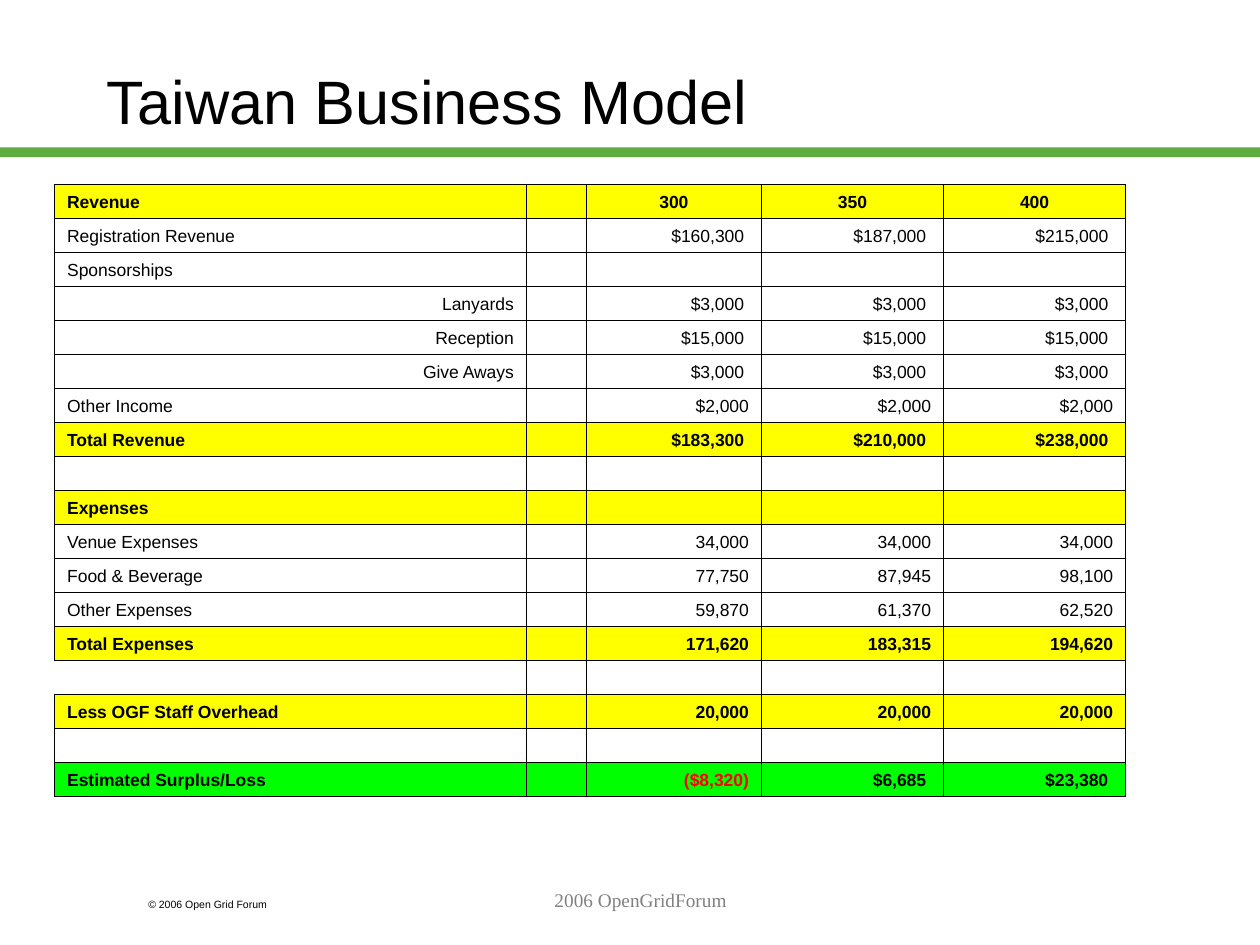
import pptx
import pptx.dml.color
import pptx.enum.shapes
import pptx.enum.text
import pptx.oxml.ns
import pptx.util
from lxml import etree
from pptx.util import Cm

COLORS = {
    "black": "000000", "bar": "5DAD41", "footer": "808080",
    "yellow": "FFFF00", "green": "00FF00", "loss": "FF0000",
}
ALIGN = pptx.enum.text.PP_ALIGN
ANCHOR = pptx.enum.text.MSO_ANCHOR

# Row kind, label, then one amount for each attendance level.
# The trailing space stands in for the closing bracket of accounting formats.
ROWS = [
    ("header", "Revenue", "300", "350", "400"),
    ("item", "Registration Revenue", "$160,300 ", "$187,000 ", "$215,000 "),
    ("item", "Sponsorships"),
    ("subitem", "Lanyards", "$3,000 ", "$3,000 ", "$3,000 "),
    ("subitem", "Reception", "$15,000 ", "$15,000 ", "$15,000 "),
    ("subitem", "Give Aways", "$3,000 ", "$3,000 ", "$3,000 "),
    ("item", "Other Income", "$2,000", "$2,000", "$2,000"),
    ("total", "Total Revenue", "$183,300 ", "$210,000 ", "$238,000 "),
    ("spacer",),
    ("header", "Expenses"),
    ("item", "Venue Expenses", "34,000", "34,000", "34,000"),
    ("item", "Food & Beverage", "77,750", "87,945", "98,100"),
    ("item", "Other Expenses", "59,870", "61,370", "62,520"),
    ("total", "Total Expenses", "171,620", "183,315", "194,620"),
    ("open spacer",),
    ("total", "Less OGF Staff Overhead", "20,000", "20,000", "20,000"),
    ("spacer",),
    ("result", "Estimated Surplus/Loss", "($8,320)", "$6,685 ", "$23,380 "),
]
ROW_FILLS = {"header": "yellow", "total": "yellow", "result": "green"}
COLUMN_WIDTHS = [9.51, 1.21, 3.53, 3.67, 3.67]


def rgb(name):
    return pptx.dml.color.RGBColor.from_string(COLORS[name])


def format_paragraph(paragraph, size, color="black", font="Arial",
                     align=ALIGN.LEFT, bold=False):
    paragraph.alignment = align
    paragraph.font.size = pptx.util.Pt(size)
    paragraph.font.name = font
    paragraph.font.bold = bold
    paragraph.font.color.rgb = rgb(color)


def add_heading(slide, left, top, width, height):
    """Title with the green bar that crosses the slide below it."""
    bar = slide.shapes.add_shape(
        pptx.enum.shapes.MSO_SHAPE.RECTANGLE,
        0, top + Cm(2.54), Cm(25.4), Cm(0.2))
    bar.shadow.inherit = False
    bar.fill.solid()
    bar.fill.fore_color.rgb = rgb("bar")
    bar.line.fill.background()

    title = slide.shapes.title
    title.left, title.top, title.width, title.height = left, top, width, height
    frame = title.text_frame
    frame.text = "Taiwan Business Model"
    frame.auto_size = pptx.enum.text.MSO_AUTO_SIZE.NONE
    frame.vertical_anchor = ANCHOR.MIDDLE
    format_paragraph(frame.paragraphs[0], 35)


def add_borders(cell, sides):
    properties = cell._tc.get_or_add_tcPr()
    for side in ("L", "R", "T", "B"):
        line = etree.SubElement(properties, pptx.oxml.ns.qn(f"a:ln{side}"))
        if side not in sides:
            line.set("w", "0")
            etree.SubElement(line, pptx.oxml.ns.qn("a:noFill"))
            continue
        line.set("w", str(pptx.util.Pt(0.45)))
        fill = etree.SubElement(line, pptx.oxml.ns.qn("a:solidFill"))
        color = etree.SubElement(fill, pptx.oxml.ns.qn("a:srgbClr"))
        color.set("val", COLORS["black"])


def fill_cell(cell, kind, column, text):
    add_borders(cell, "RTB" if kind == "open spacer" and column == 0 else "LRTB")
    if kind in ROW_FILLS:
        cell.fill.solid()
        cell.fill.fore_color.rgb = rgb(ROW_FILLS[kind])
    else:
        cell.fill.background()
    cell.vertical_anchor = ANCHOR.BOTTOM

    if column == 0:
        align = ALIGN.RIGHT if kind == "subitem" else ALIGN.LEFT
    else:
        align = ALIGN.CENTER if kind == "header" else ALIGN.RIGHT
    cell.text = text
    format_paragraph(cell.text_frame.paragraphs[0], 10,
                     color="loss" if text.startswith("(") else "black",
                     align=align, bold=kind in ROW_FILLS)


def add_budget_table(slide, left, top, width, height):
    table = slide.shapes.add_table(
        len(ROWS), len(COLUMN_WIDTHS), left, top, width, height).table
    table.first_row = False
    table.horz_banding = False
    for column, column_width in zip(table.columns, COLUMN_WIDTHS):
        column.width = Cm(column_width)
    for row, (kind, *texts) in zip(table.rows, ROWS):
        row.height = height // len(ROWS)
        label, *amounts = texts or [""]
        values = [label, "", *(amounts or [""] * 3)]
        for column, (cell, text) in enumerate(zip(row.cells, values)):
            fill_cell(cell, kind, column, text)


def add_footer(slide, left, top, width, height):
    """Copyright line at the left and the centred footer beside it."""
    copyright_box = slide.shapes.add_textbox(left, top + Cm(0.2), Cm(3.8), Cm(0.5))
    footer_box = slide.shapes.add_textbox(
        left + Cm(2.77), top, width - Cm(2.77), height)
    for box, text in ((copyright_box, "© 2006 Open Grid Forum"),
                      (footer_box, "2006 OpenGridForum")):
        box.text_frame.word_wrap = True
        box.text_frame.text = text
    format_paragraph(copyright_box.text_frame.paragraphs[0], 6)
    format_paragraph(footer_box.text_frame.paragraphs[0], 11, color="footer",
                     font="Times New Roman", align=ALIGN.CENTER)


def main():
    presentation = pptx.Presentation()
    presentation.slide_width = Cm(25.4)
    presentation.slide_height = Cm(19.05)
    slide = presentation.slides.add_slide(presentation.slide_layouts[5])

    add_heading(slide, Cm(1.9), Cm(0.43), Cm(21.6), Cm(3.18))
    add_budget_table(slide, Cm(1.1), Cm(3.72), Cm(sum(COLUMN_WIDTHS)), Cm(12.34))
    add_footer(slide, Cm(2.74), Cm(17.78), Cm(17.58), Cm(1.27))
    presentation.save("out.pptx")


if __name__ == "__main__":
    main()
